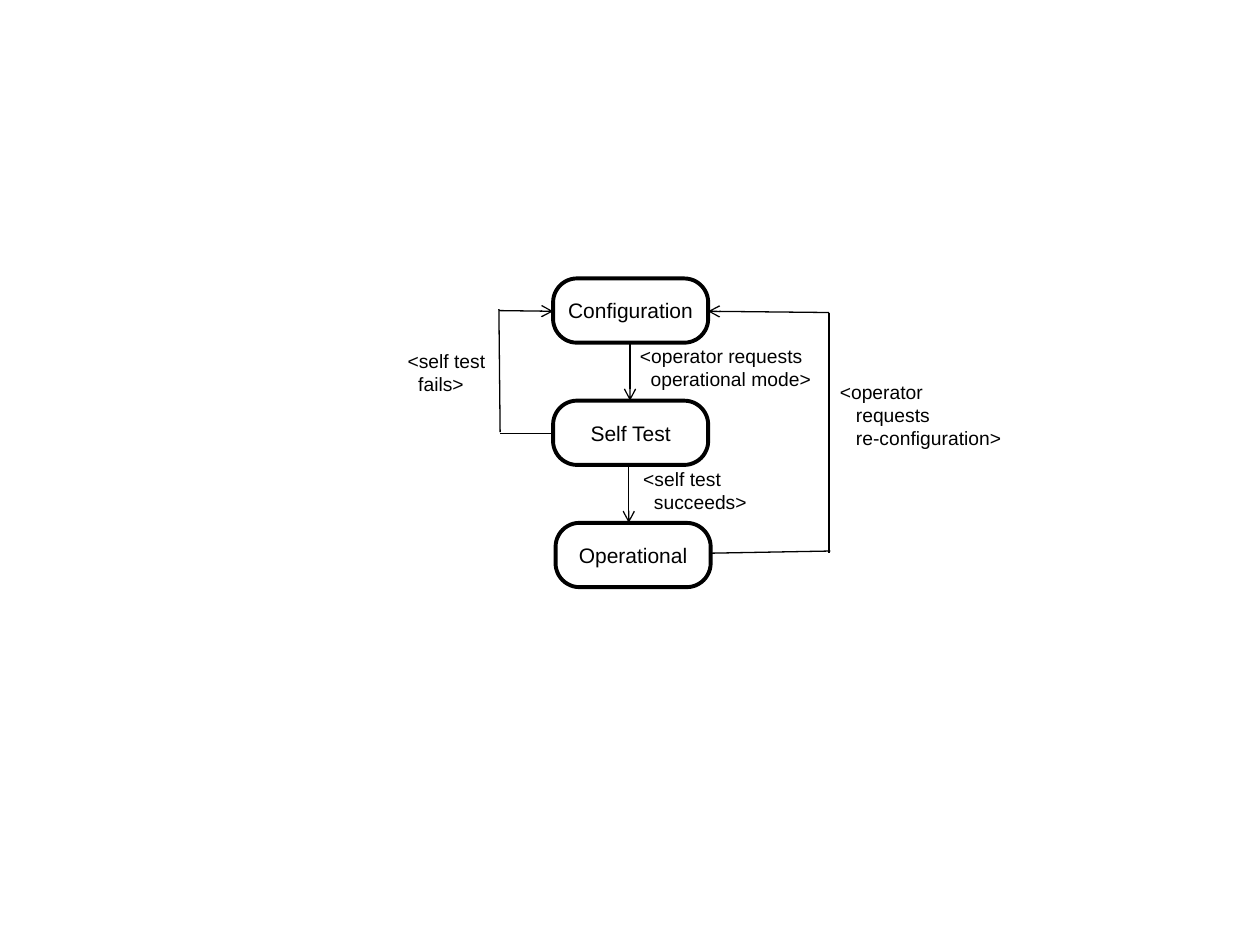
from dataclasses import dataclass

from lxml import etree
from pptx import Presentation
from pptx.dml.color import RGBColor
from pptx.enum.shapes import MSO_CONNECTOR, MSO_SHAPE
from pptx.enum.text import MSO_ANCHOR, PP_ALIGN
from pptx.oxml.ns import qn
from pptx.util import Pt

ROUNDED = MSO_SHAPE.ROUNDED_RECTANGLE
STRAIGHT = MSO_CONNECTOR.STRAIGHT
MIDDLE = MSO_ANCHOR.MIDDLE
CENTER = PP_ALIGN.CENTER


@dataclass(frozen=True)
class Theme:
    ink: RGBColor = RGBColor(0, 0, 0)
    font: str = "Arial"
    state_size: float = 12
    label_size: float = 11
    state_border: float = 2.25
    transition_width: float = 0.75


class StateDiagram:
    def __init__(self, slide, theme):
        self.slide = slide
        self.theme = theme

    def style_text(self, paragraph, size):
        paragraph.font.name = self.theme.font
        paragraph.font.size = Pt(size)
        paragraph.font.color.rgb = self.theme.ink

    def state(self, name, left, top, width, height):
        box = self.slide.shapes.add_shape(
            ROUNDED, Pt(left), Pt(top), Pt(width), Pt(height))
        box.adjustments[0] = 0.372
        box.shadow.inherit = False
        box.fill.background()
        box.line.color.rgb = self.theme.ink
        box.line.width = Pt(self.theme.state_border)
        frame = box.text_frame
        frame.word_wrap = False
        frame.vertical_anchor = MIDDLE
        frame.text = name
        frame.paragraphs[0].alignment = CENTER
        self.style_text(frame.paragraphs[0], self.theme.state_size)

    def label(self, text, left, top, width, height, indent):
        box = self.slide.shapes.add_textbox(
            Pt(left), Pt(top), Pt(width), Pt(height))
        frame = box.text_frame
        frame.word_wrap = False
        frame.text = text
        for number, paragraph in enumerate(frame.paragraphs):
            self.style_text(paragraph, self.theme.label_size)
            if number:
                properties = paragraph._p.get_or_add_pPr()
                properties.set("marL", str(Pt(indent)))

    def transition(self, start, end, arrow=False):
        line = self.slide.shapes.add_connector(
            STRAIGHT, *(Pt(value) for value in start + end))
        line.line.color.rgb = self.theme.ink
        line.line.width = Pt(self.theme.transition_width)
        if arrow:
            outline = line.line._get_or_add_ln()
            etree.SubElement(outline, qn("a:tailEnd"), type="arrow")
        etree.SubElement(line._element.spPr, qn("a:effectLst"))


def main():
    deck = Presentation()
    deck.slide_width, deck.slide_height = Pt(720), Pt(540)
    slide = deck.slides.add_slide(deck.slide_layouts[6])
    diagram = StateDiagram(slide, Theme())

    first_top, state_pitch, state_width, state_height = 159.1, 69.85, 88.6, 36.7
    states = [("Configuration", 316.1), ("Self Test", 316.1), ("Operational", 317.5)]
    for row, (name, left) in enumerate(states):
        diagram.state(name, left, first_top + row * state_pitch,
                      state_width, state_height)

    for row, x in enumerate((360, 359.3)):
        top = first_top + row * state_pitch
        diagram.transition((x, top + state_height), (x, top + state_pitch), arrow=True)

    reconfigure_x, reconfigure_y = 473.8, 178.6
    diagram.transition((406.8, 316.1), (474.5, 314.9))
    diagram.transition((reconfigure_x, reconfigure_y), (reconfigure_x, 316.1))
    diagram.transition((reconfigure_x, reconfigure_y), (404.6, 177.9), arrow=True)

    failure_x, failure_y = 285.1, 177.5
    diagram.transition((285.8, 247.7), (315.5, 247.7))
    diagram.transition((failure_x, 176.6), (285.8, 247))
    diagram.transition((failure_x, failure_y), (316.1, 177.9), arrow=True)

    labels = [
        ("<operator\nrequests\nre-configuration>", 472.8, 213.7, 107.3, 47.5, 9.2),
        ("<operator requests\noperational mode>", 358.6, 193.4, 113, 33.8, 6.1),
        ("<self test\nsucceeds>", 360.5, 263.5, 74.2, 33.8, 6.1),
        ("<self test\nfails>", 225.8, 196.1, 59, 33.8, 6.1),
    ]
    for label in labels:
        diagram.label(*label)

    deck.save("out.pptx")


if __name__ == "__main__":
    main()
